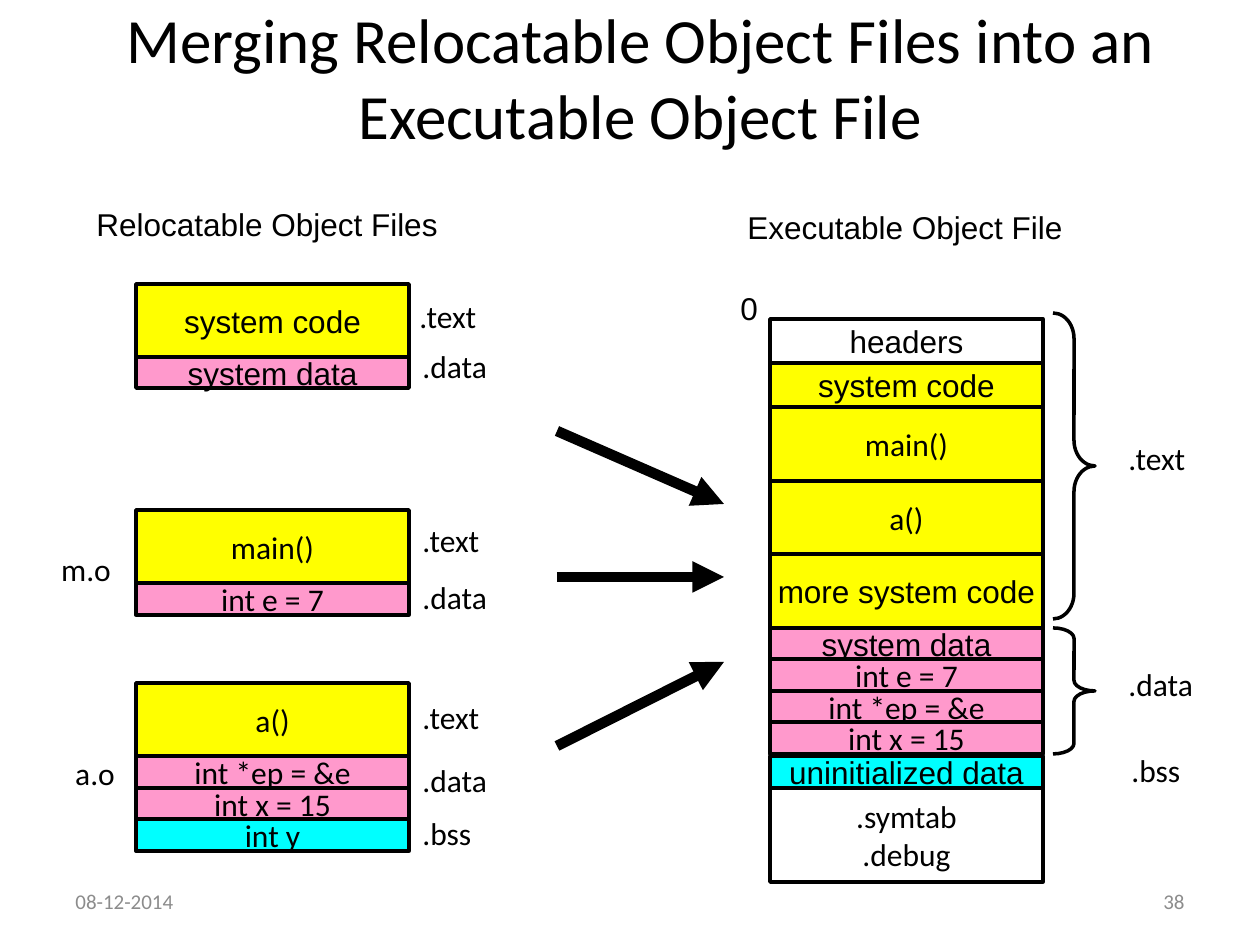
from dataclasses import dataclass

from lxml.etree import SubElement
from pptx import Presentation
from pptx.dml.color import RGBColor as RGB
from pptx.enum.shapes import MSO_CONNECTOR as CONN, MSO_SHAPE as SHAPE
from pptx.enum.text import MSO_ANCHOR as ANCHOR, MSO_AUTO_SIZE as FIT, PP_ALIGN as ALIGN
from pptx.oxml.ns import qn
from pptx.util import Inches, Pt

PX = Inches(1) // 126


@dataclass(frozen=True)
class Theme:
    """Colours, fonts and type sizes of the slide."""
    ink: str = "000000"
    muted: str = "8C8C8C"
    header: str = "FFFFFF"
    code: str = "FFFF00"
    data: str = "FF99CC"
    bss: str = "00FFFF"
    sans: str = "Arial"
    body: str = "Calibri"
    title_size: int = 36
    body_size: int = 18
    footer_size: int = 12
    line: int = 2
    arrow: int = 6


T = Theme()


def write(tf, text, font, size=T.body_size, color=T.ink, align=ALIGN.LEFT):
    """Fill a text frame and format all its runs."""
    tf.text = text
    for p in tf.paragraphs:
        p.alignment = align
        for r in p.runs:
            r.font.name, r.font.size = font, Pt(size)
            r.font.color.rgb = RGB.from_string(color)


def outline(line, width):
    """Give a line the ink colour and a width in points."""
    line.color.rgb = RGB.from_string(T.ink)
    line.width = Pt(width)


def add_label(s, x, y, w, text, font=T.body, align=ALIGN.LEFT):
    """Add a one-line label that grows with its text."""
    tf = s.shapes.add_textbox(x * PX, y * PX, w * PX, 50 * PX).text_frame
    write(tf, text, font, align=align)
    tf.word_wrap = False
    tf.auto_size = FIT.SHAPE_TO_FIT_TEXT


def add_block(s, x, y, w, h, text, **style):
    """Add a wrapped text block centred vertically."""
    tf = s.shapes.add_textbox(x * PX, y * PX, w * PX, h * PX).text_frame
    tf.word_wrap = True
    tf.vertical_anchor = ANCHOR.MIDDLE
    write(tf, text, T.body, **style)


def add_stack(s, x, top, sections):
    """Add touching sections, each given by text, fill, font and bottom edge."""
    for text, fill, font, bottom in sections:
        sp = s.shapes.add_shape(SHAPE.RECTANGLE, x * PX, top * PX, 273 * PX, (bottom - top) * PX)
        sp.shadow.inherit = False
        sp.fill.solid()
        sp.fill.fore_color.rgb = RGB.from_string(fill)
        outline(sp.line, T.line)
        tf = sp.text_frame
        tf.word_wrap = False
        tf.vertical_anchor = ANCHOR.MIDDLE
        write(tf, text, font, align=ALIGN.CENTER)
        top = bottom


def add_brace(s, y, h, curl):
    """Add a right brace beside the executable file."""
    sp = s.shapes.add_shape(SHAPE.RIGHT_BRACE, 1053 * PX, y * PX, 42 * PX, h * PX)
    sp.shadow.inherit = False
    sp.adjustments[0], sp.adjustments[1] = curl, 0.5
    sp.fill.background()
    outline(sp.line, T.line)


def add_arrow(s, y1, y2):
    """Add a thick arrow from the object files to the executable."""
    c = s.shapes.add_connector(CONN.STRAIGHT, 557 * PX, y1 * PX, 724 * PX, y2 * PX)
    outline(c.line, T.arrow)
    SubElement(c.line._get_or_add_ln(), qn("a:tailEnd"), type="triangle")
    SubElement(c._element.spPr, qn("a:effectLst"))


def add_relocatables(s):
    """Add the three relocatable object files with their labels."""
    add_label(s, 84, 199, 389, "Relocatable Object Files", T.sans)
    add_stack(s, 136, 284, [("system code", T.code, T.sans, 357),
                            ("system data", T.data, T.sans, 388)])
    add_stack(s, 136, 510, [("main()", T.code, T.body, 583),
                            ("int e = 7", T.data, T.body, 615)])
    add_stack(s, 136, 683, [("a()", T.code, T.body, 756),
                            ("int *ep = &e", T.data, T.body, 788),
                            ("int x = 15", T.data, T.body, 819),
                            ("int y", T.bss, T.body, 851)])
    for x, y, name in [(45, 544, "m.o"), (54, 748, "a.o")]:
        add_label(s, x, y, 82, name, align=ALIGN.CENTER)
    for x, y, name in [(407, 291, ".text"), (410, 341, ".data"), (410, 515, ".text"),
                       (410, 572, ".data"), (410, 692, ".text"), (410, 755, ".data")]:
        add_label(s, x, y, 120, name)
    add_label(s, 410, 808, 139, ".bss")


def add_executable(s):
    """Add the merged executable file with its braces and labels."""
    add_label(s, 735, 202, 362, "Executable Object File", T.sans)
    add_label(s, 728, 283, 43, "0", T.sans)
    add_stack(s, 770, 319, [("headers", T.header, T.sans, 363),
                            ("system code", T.code, T.sans, 407),
                            ("main()", T.code, T.body, 481),
                            ("a()", T.code, T.body, 554),
                            ("more system code", T.code, T.sans, 628),
                            ("system data", T.data, T.sans, 659),
                            ("int e = 7", T.data, T.body, 691),
                            ("int *ep = &e", T.data, T.body, 722),
                            ("int x = 15", T.data, T.body, 754)])
    add_stack(s, 770, 756, [("uninitialized data", T.bss, T.sans, 788),
                            (".symtab\n.debug", T.header, T.body, 882)])
    add_brace(s, 313, 306, 0.61)
    add_brace(s, 628, 126, 0.25)
    for x, y, w, name in [(1116, 433, 120, ".text"), (1116, 659, 120, ".data"),
                          (1119, 745, 101, ".bss")]:
        add_label(s, x, y, w, name)


def main():
    """Build and save the slide."""
    prs = Presentation()
    prs.slide_width, prs.slide_height = Inches(10), Inches(7.5)
    s = prs.slides.add_slide(prs.slide_layouts[6])
    add_block(s, 23, 3, 1235, 147, "Merging Relocatable Object Files into an Executable Object File",
              size=T.title_size, align=ALIGN.CENTER)
    add_relocatables(s)
    add_executable(s)
    for y1, y2 in [(431, 504), (577, 577), (746, 662)]:
        add_arrow(s, y1, y2)
    for x, text, align in [(63, "08-12-2014", ALIGN.LEFT), (903, "38", ALIGN.RIGHT)]:
        add_block(s, x, 876, 294, 50, text, size=T.footer_size, color=T.muted, align=align)
    prs.save("out.pptx")


if __name__ == "__main__":
    main()
